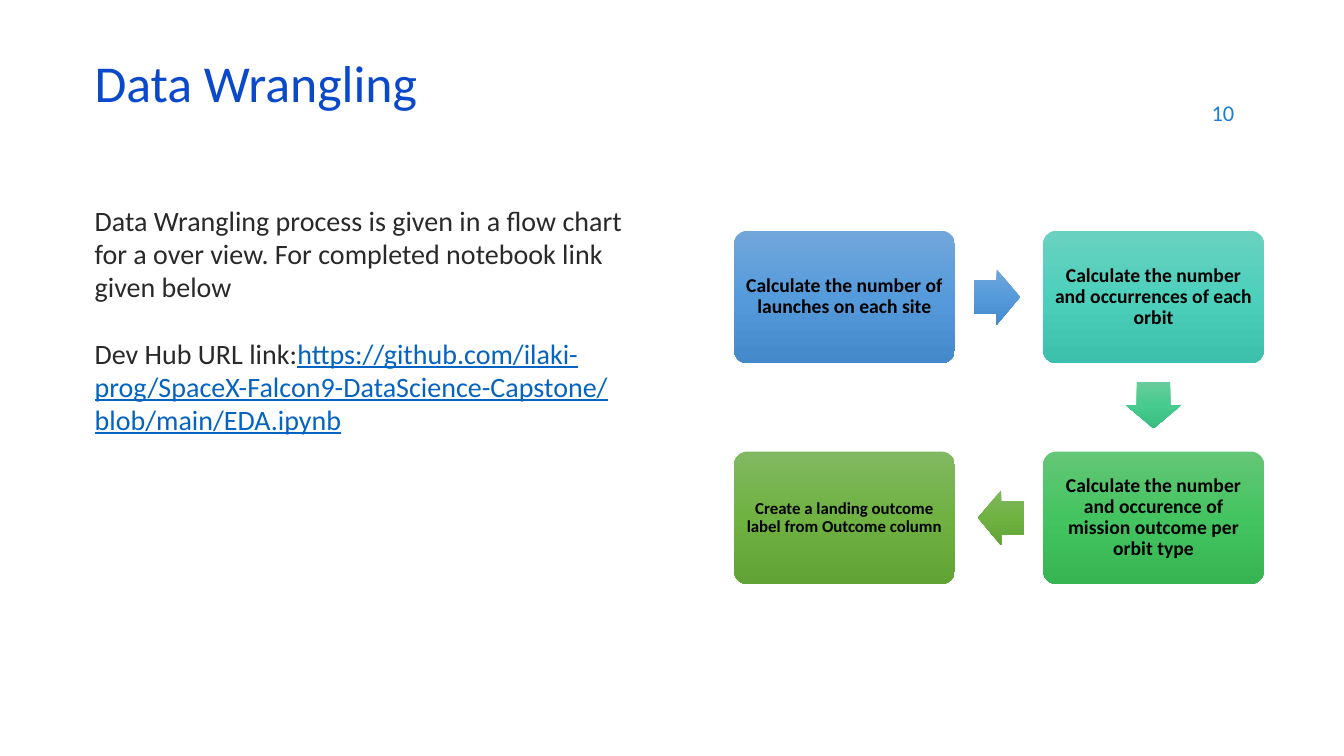
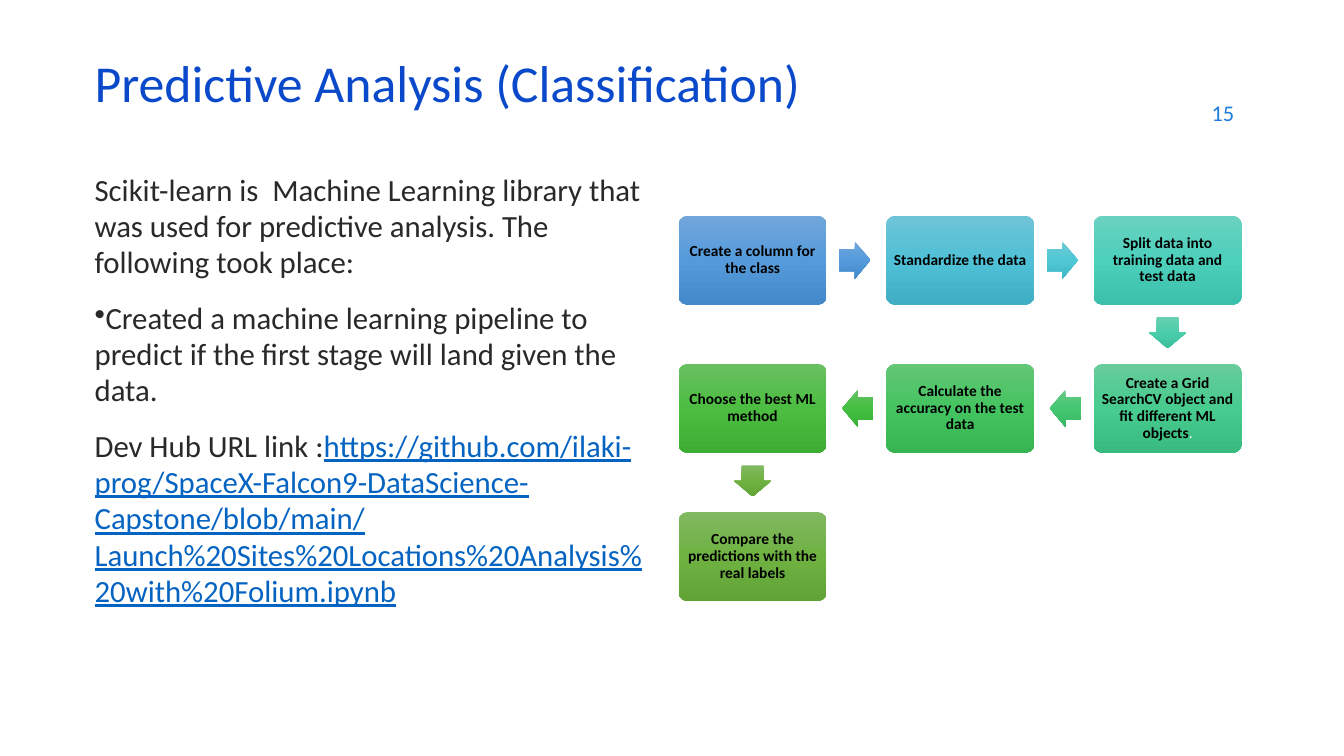
from copy import deepcopy

from pptx import Presentation
from pptx.dml.color import RGBColor
from pptx.enum.shapes import MSO_SHAPE as Shape
from pptx.enum.text import MSO_ANCHOR as Anchor, PP_ALIGN as Align
from pptx.oxml.ns import qn
from pptx.oxml.xmlchemy import OxmlElement
from pptx.util import Inches, Pt

FONT = "Calibri"
TITLE_BLUE = RGBColor(0x0B, 0x49, 0xCB)
NUMBER_BLUE = RGBColor(0x1C, 0x7D, 0xDB)
LINK_BLUE = RGBColor(0x05, 0x63, 0xC1)
INK = RGBColor(0x29, 0x29, 0x29)
BLACK = RGBColor(0x00, 0x00, 0x00)
WHITE = RGBColor(0xFF, 0xFF, 0xFF)


def shades(*codes):
    """Return the top, middle and bottom colours of a gradient."""
    return [RGBColor.from_string(code) for code in codes]


BLUE = shades("71A6DB", "559BDB", "448ACA")
CYAN = shades("6EC4D6", "50C0D6", "40AFC5")
AQUA = shades("6DCAD5", "4FC7D5", "3FB7C4")
TEAL = shades("6AD1C0", "4CD0BC", "3CC0AC")
SEA = shades("69CFB1", "4ACEAA", "3BBE9A")
MINT = shades("67CC9A", "47CB8E", "39BB7F")
JADE = shades("66C885", "45C772", "37B764")
GREEN = shades("64C677", "44C460", "36B552")
FERN = shades("64C162", "44BF41", "37B034")
LEAF = shades("69C062", "4CBD41", "3FAD34")
OLIVE = shades("81B861", "6FB242", "62A336")

ARROWS = {
    (1, 0): Shape.RIGHT_ARROW,
    (-1, 0): Shape.LEFT_ARROW,
    (0, 1): Shape.DOWN_ARROW,
}


def add_span(para, text, size, colour, bold=False, underline=False):
    """Add one formatted run to a paragraph."""
    span = para.add_run()
    span.text = text
    font = span.font
    font.name, font.size, font.bold = FONT, Pt(size), bold
    font.color.rgb = colour
    if underline:
        font.underline = True


def add_box(page, left, top, width, height, anchor=Anchor.TOP):
    """Add a wrapping text box and return its text frame."""
    box = page.shapes.add_textbox(Inches(left), Inches(top), Inches(width), Inches(height))
    frame = box.text_frame
    frame.word_wrap = True
    frame.vertical_anchor = anchor
    return frame


def add_page(deck, title, number):
    """Add a blank slide with its title and page number."""
    page = deck.slides.add_slide(deck.slide_layouts[6])
    para = add_box(page, 0.84, 0.59, 11.5, 0.6, Anchor.MIDDLE).paragraphs[0]
    para.line_spacing = 0.7
    add_span(para, title, 37, TITLE_BLUE)
    para = add_box(page, 9.34, 0.9, 3, 0.44, Anchor.MIDDLE).paragraphs[0]
    para.alignment = Align.RIGHT
    add_span(para, number, 16, NUMBER_BLUE)
    return page


def add_body(page, box, size, gap, paragraphs):
    """Write body paragraphs given as (text, link, bulleted)."""
    frame = add_box(page, *box)
    for index, (text, link, bulleted) in enumerate(paragraphs):
        para = frame.add_paragraph() if index else frame.paragraphs[0]
        if bulleted:
            bullet = OxmlElement("a:buChar")
            bullet.set("char", "•")
            para._p.get_or_add_pPr().append(bullet)
        para.line_spacing = 0.98
        para.space_before = Pt(gap if index else 0)
        add_span(para, text, size, INK)
        if link:
            add_span(para, link, size, LINK_BLUE, underline=True)


def add_gradient_shape(page, kind, left, top, width, height, colours, adjustments):
    """Add a borderless preset shape shaded from top to bottom."""
    shape = page.shapes.add_shape(kind, Inches(left), Inches(top), Inches(width), Inches(height))
    shape.shadow.inherit = False
    shape.line.fill.background()
    for index, value in enumerate(adjustments):
        shape.adjustments[index] = value
    shape.fill.gradient()
    shape.fill.gradient_angle = 270
    stop_list = shape._element.spPr.find(qn("a:gradFill")).find(qn("a:gsLst"))
    stop_list.append(deepcopy(stop_list[0]))
    for index, (stop, colour) in enumerate(zip(shape.fill.gradient_stops, colours)):
        stop.position = index / 2
        stop.color.rgb = colour
    return shape


def add_step(page, left, top, width, height, colours, size, spans):
    """Add one rounded flow step with centred bold text."""
    shape = add_gradient_shape(page, Shape.ROUNDED_RECTANGLE, left, top, width, height, colours, [0.1])
    frame = shape.text_frame
    frame.word_wrap = True
    frame.vertical_anchor = Anchor.MIDDLE
    margin = Inches(0.06 if size > 12 else 0.05)
    frame.margin_left = frame.margin_right = margin
    frame.margin_top = frame.margin_bottom = margin
    para = frame.paragraphs[0]
    para.alignment = Align.CENTER
    para.line_spacing = 0.9
    for text, colour in spans:
        add_span(para, text, size, colour, bold=colour == BLACK)


def add_flow(page, left, top, width, columns, steps, arrow_colours):
    """Lay steps out in a snaking grid and join them with arrows."""
    height = 0.6 * width
    cells = []
    for index, (colours, size, spans) in enumerate(steps):
        row, column = divmod(index, columns)
        if row % 2:
            column = columns - 1 - column
        cells.append((column, row))
        add_step(page, left + 1.4 * width * column, top + width * row, width, height, colours, size, spans)
    for (column, row), (next_column, next_row), colours in zip(cells, cells[1:], arrow_colours):
        across, down = next_column - column, next_row - row
        length, breadth = 0.21 * width, 0.25 * width
        arrow_width, arrow_height = (breadth, length) if down else (length, breadth)
        centre_x = left + width * (0.5 + 0.7 * (column + next_column) - 0.01 * across)
        centre_y = top + width * (0.3 + 0.5 * (row + next_row) - 0.01 * down)
        add_gradient_shape(
            page, ARROWS[across, down], centre_x - arrow_width / 2, centre_y - arrow_height / 2,
            arrow_width, arrow_height, colours, [0.6, 0.5],
        )


def add_wrangling_page(deck):
    """Build the data wrangling slide."""
    page = add_page(deck, "Data Wrangling", "10")
    add_body(page, (0.84, 1.99, 5.69, 4.6), 20, 24, [
        ("Data Wrangling process is given in a flow chart for a over view. "
         "For completed notebook link given below", "", False),
        ("Dev Hub URL link:",
         "https://github.com/ilaki-prog/SpaceX-Falcon9-DataScience-Capstone/blob/main/EDA.ipynb", False),
    ])
    add_flow(page, 7.28, 2.29, 2.19, 2, [
        (BLUE, 14, [("Calculate the number of launches on each site", BLACK)]),
        (TEAL, 14, [("Calculate the number and occurrences of each orbit", BLACK)]),
        (GREEN, 14, [("Calculate the number and occurence of mission outcome per orbit type", BLACK)]),
        (OLIVE, 12, [("Create a landing outcome label from Outcome column", BLACK)]),
    ], [BLUE, MINT, OLIVE])


def add_prediction_page(deck):
    """Build the predictive analysis slide."""
    page = add_page(deck, "Predictive Analysis (Classification)", "15")
    add_body(page, (0.84, 1.66, 5.75, 5.25), 22, 14, [
        ("Scikit-learn is  Machine Learning library that was used for predictive analysis. "
         "The following took place:", "", False),
        ("Created a machine learning pipeline to predict if the first stage will land given the data.", "", True),
        ("Dev Hub URL link :",
         "https://github.com/ilaki-prog/SpaceX-Falcon9-DataScience-Capstone/blob/main/"
         "Launch%20Sites%20Locations%20Analysis%20with%20Folium.ipynb", False),
    ])
    add_flow(page, 6.73, 2.14, 1.47, 3, [
        (BLUE, 11, [("Create a column for the class", BLACK)]),
        (CYAN, 11, [("Standardize the data", BLACK)]),
        (TEAL, 11, [("Split data into training data and test data", BLACK)]),
        (MINT, 11, [("Create a Grid SearchCV object and fit different ML objects", BLACK), (".", WHITE)]),
        (GREEN, 11, [("Calculate the accuracy on the test data", BLACK)]),
        (LEAF, 11, [("Choose the best ML method", BLACK)]),
        (OLIVE, 11, [("Compare the predictions with the real labels", BLACK)]),
    ], [BLUE, AQUA, SEA, JADE, FERN, OLIVE])


def main():
    """Build and save the deck."""
    deck = Presentation()
    deck.slide_width, deck.slide_height = Inches(13.33), Inches(7.5)
    add_wrangling_page(deck)
    add_prediction_page(deck)
    deck.save("out.pptx")


if __name__ == "__main__":
    main()
